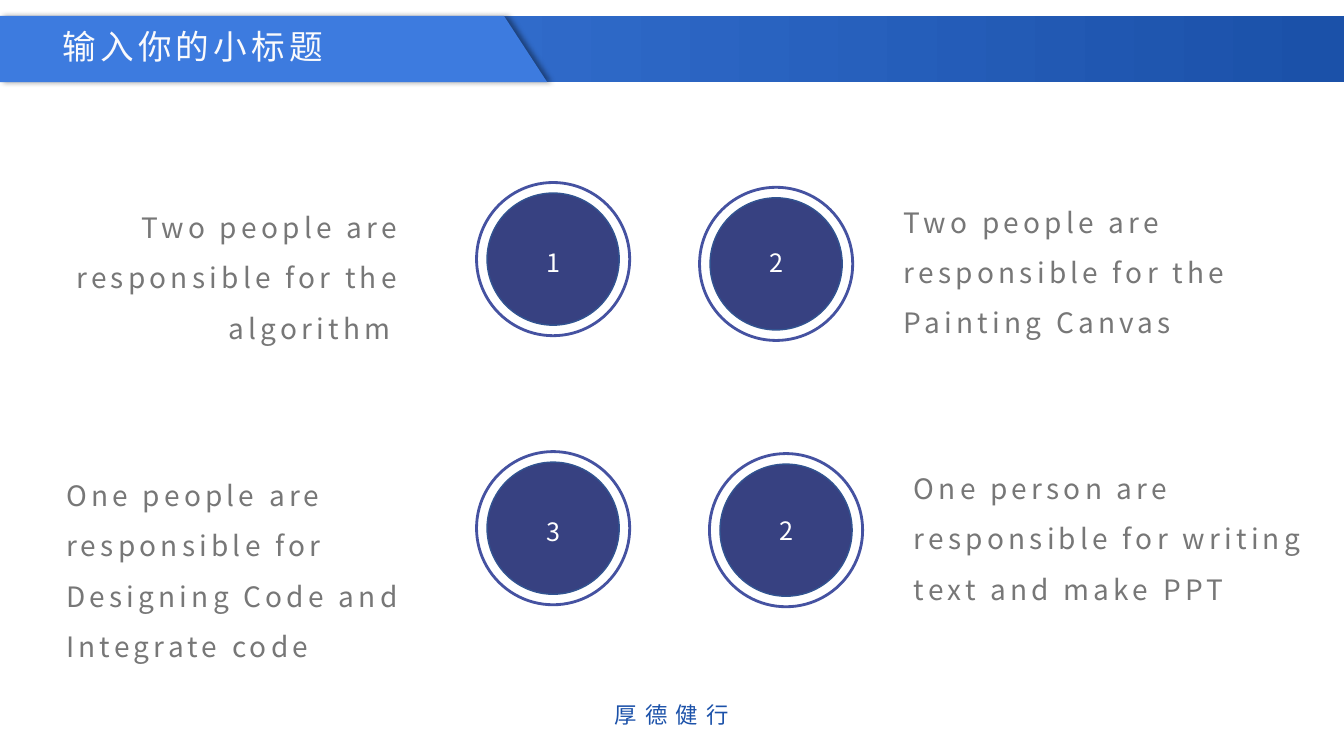
"""Build the team roles slide: a banner title, four numbered roles and a motto."""
import pptx
import pptx.util
import pptx.dml.color
import pptx.enum.shapes
import pptx.enum.text
import pptx.oxml
import pptx.oxml.ns
import lxml.etree

Cm = pptx.util.Cm
Pt = pptx.util.Pt
RGBColor = pptx.dml.color.RGBColor
OVAL = pptx.enum.shapes.MSO_SHAPE.OVAL
ALIGN = pptx.enum.text.PP_ALIGN

FONT = "Noto Sans CJK SC"
WHITE = RGBColor(0xFF, 0xFF, 0xFF)
TITLE_WHITE = RGBColor(0xFA, 0xFA, 0xFC)
SKY_BLUE = RGBColor(0x3D, 0x7B, 0xDF)
DEEP_BLUE = RGBColor(0x1B, 0x51, 0xA9)
RING_BLUE = RGBColor(0x45, 0x52, 0xA1)
DISC_FILL = RGBColor(0x37, 0x41, 0x81)
DISC_EDGE = RGBColor(0x32, 0x54, 0x91)
GREY = RGBColor(0x77, 0x77, 0x77)


def write(frame, text, size, colour, align, tracking=3, line_spacing=1.0):
    frame.word_wrap = True
    frame.auto_size = pptx.enum.text.MSO_AUTO_SIZE.SHAPE_TO_FIT_TEXT
    frame.vertical_anchor = pptx.enum.text.MSO_ANCHOR.TOP
    paragraph = frame.paragraphs[0]
    paragraph.alignment = align
    paragraph.line_spacing = line_spacing
    run = paragraph.add_run()
    run.text = text
    run.font.size = Pt(size)
    run.font.name = FONT
    run.font.color.rgb = colour
    properties = run._r.get_or_add_rPr()
    properties.set("spc", str(tracking * 100))
    east_asian = lxml.etree.SubElement(properties, pptx.oxml.ns.qn("a:ea"))
    east_asian.set("typeface", FONT)


def add_circle(shapes, left, top, diameter, fill, edge, edge_width):
    circle = shapes.add_shape(OVAL, Cm(left), Cm(top), Cm(diameter), Cm(diameter))
    circle.shadow.inherit = False
    circle.fill.solid()
    circle.fill.fore_color.rgb = fill
    circle.line.color.rgb = edge
    circle.line.width = Pt(edge_width)


presentation = pptx.Presentation()
presentation.slide_width = Cm(33.87)
presentation.slide_height = Cm(19.05)
slide = presentation.slides.add_slide(presentation.slide_layouts[5])

banner = slide.shapes.add_shape(
    pptx.enum.shapes.MSO_SHAPE.RECTANGLE, Cm(-0.03), Cm(0.4), Cm(33.93), Cm(1.67))
banner.shadow.inherit = False
banner.line.fill.background()
banner.fill.gradient()
banner.fill.gradient_angle = 0
for stop, colour, position in zip(
        banner.fill.gradient_stops, (SKY_BLUE, DEEP_BLUE), (0, 0.99)):
    stop.color.rgb = colour
    stop.position = position

outline = slide.shapes.build_freeform(Cm(-1.8), Cm(2.07))
outline.add_line_segments([
    (Cm(x), Cm(y)) for x, y in
    ((13.79, 2.07), (12.7, 0.4), (-0.03, 0.4), (-0.03, 2.07))])
title_tab = outline.convert_to_shape()
title_tab.fill.solid()
title_tab.fill.fore_color.rgb = SKY_BLUE
title_tab.line.fill.background()
title_tab.element.spPr.append(pptx.oxml.parse_xml(
    '<a:effectLst xmlns:a="http://schemas.openxmlformats.org/drawingml/2006/main">'
    '<a:outerShdw blurRad="50800" dist="38100" dir="0" algn="l" rotWithShape="0">'
    '<a:srgbClr val="000000"><a:alpha val="40000"/></a:srgbClr>'
    '</a:outerShdw></a:effectLst>'))

title = slide.shapes.title
title.left, title.top, title.width, title.height = Cm(1.32), Cm(0.53), Cm(10.69), Cm(1.27)
write(title.text_frame, "输入你的小标题", 24, TITLE_WHITE, ALIGN.LEFT)
slide.shapes.element.append(title.element)

roles = [
    ("1", 12.01, 4.6, 6.1, -0.41, 4.75, 3.96, ALIGN.RIGHT,
     "Two people are responsible for the algorithm "),
    ("2", 17.63, 4.72, 6.12, 22.53, 4.62, 3.96, ALIGN.LEFT,
     "Two people are responsible for the Painting Canvas"),
    ("3", 12.01, 11.38, 12.88, 1.42, 11.51, 5.23, ALIGN.LEFT,
     "One people are responsible for Designing Code and Integrate code"),
    ("2", 17.88, 11.43, 12.85, 22.78, 11.33, 3.96, ALIGN.LEFT,
     "One person are responsible for writing text and make PPT"),
]
RING, DISC = 3.86, 3.33
INSET = (RING - DISC) / 2
for (number, ring_left, ring_top, number_top,
     duty_left, duty_top, duty_height, align, duty) in roles:
    role = slide.shapes.add_group_shape().shapes
    disc_left = ring_left + INSET
    add_circle(role, ring_left, ring_top, RING, WHITE, RING_BLUE, 2)
    add_circle(role, disc_left, ring_top + INSET, DISC, DISC_FILL, DISC_EDGE, 1)
    number_box = role.add_textbox(Cm(disc_left), Cm(number_top), Cm(DISC), Cm(1.02))
    write(number_box.text_frame, number, 18, WHITE, ALIGN.CENTER)
    duty_box = role.add_textbox(Cm(duty_left), Cm(duty_top), Cm(10.77), Cm(duty_height))
    write(duty_box.text_frame, duty, 20, GREY, align, line_spacing=1.5)

motto = slide.shapes.add_textbox(Cm(12.09), Cm(17.53), Cm(9.68), Cm(0.79)).text_frame
motto.margin_left = motto.margin_top = motto.margin_right = motto.margin_bottom = 0
write(motto, "厚德健行", 16, DEEP_BLUE, ALIGN.CENTER, tracking=6, line_spacing=1.2)

presentation.save("out.pptx")
